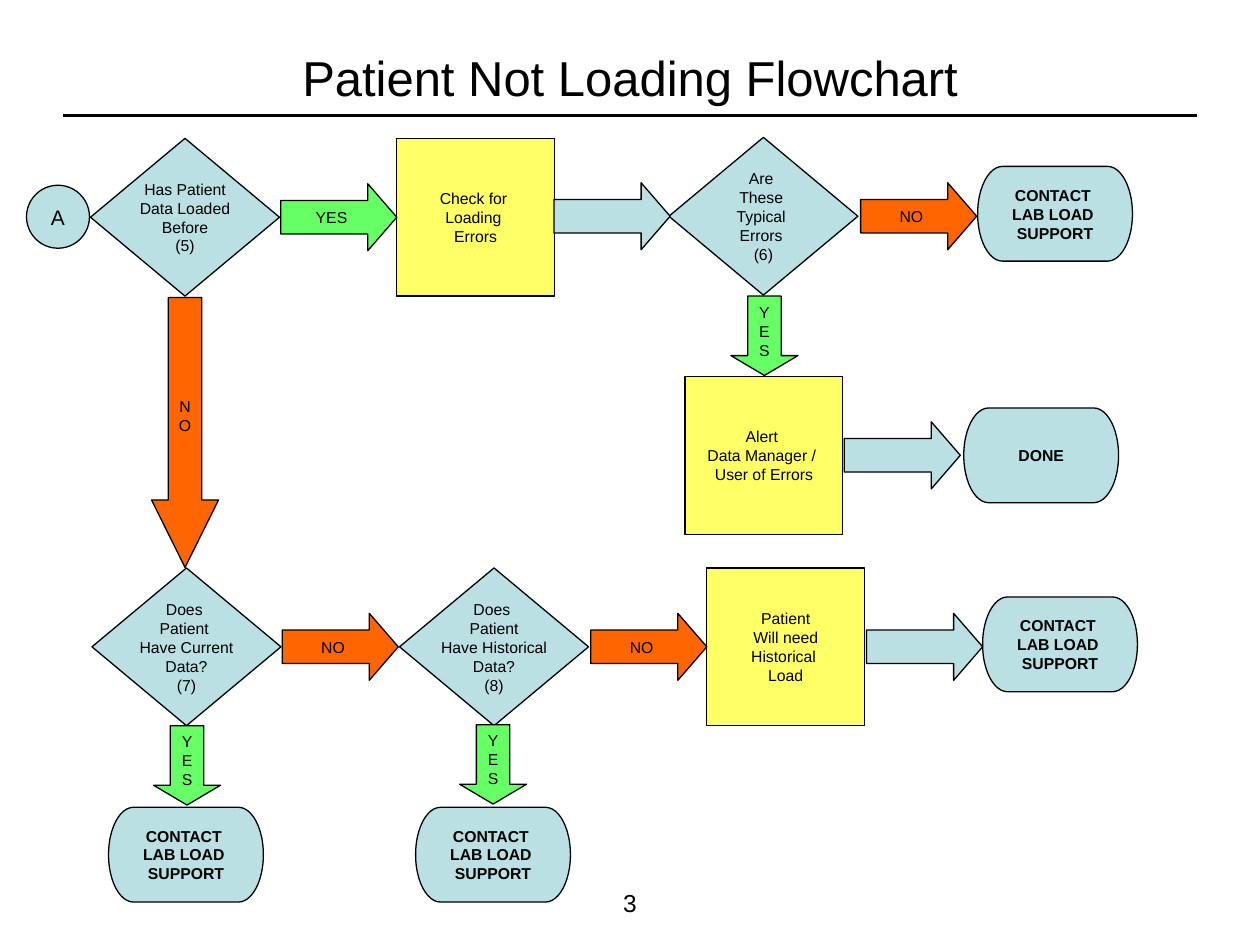
from pptx import Presentation
from pptx.dml.color import RGBColor
from pptx.enum.shapes import MSO_CONNECTOR, MSO_SHAPE
from pptx.enum.text import MSO_ANCHOR, PP_ALIGN
from pptx.oxml.ns import qn
from pptx.util import Cm, Pt
from lxml.etree import SubElement

COLORS = {"ink": "000000", "blue": "BBE0E3", "yellow": "FFFF66",
          "yes": "66FF66", "no": "FF6600"}
FONT = "Arial"

# Node kinds: preset, width, height (cm), fill, text size, bold
KINDS = {
    "decision": (MSO_SHAPE.FLOWCHART_DECISION, 3.81, 3.18, "blue", 9, False),
    "process": (MSO_SHAPE.FLOWCHART_PROCESS, 3.18, 3.18, "yellow", 9, False),
    "end": (MSO_SHAPE.FLOWCHART_TERMINATOR, 3.12, 1.91, "blue", 9, True),
    "entry": (MSO_SHAPE.FLOWCHART_CONNECTOR, 1.27, 1.27, "blue", 12, False),
}
SUPPORT = ["CONTACT ", "LAB LOAD ", "SUPPORT"]

# Kind, centre x, centre y (cm), text lines
NODES = [
    ("entry", 1.17, 4.37, ["A"]),
    ("decision", 3.73, 4.38, ["Has Patient", "Data Loaded", "Before", "(5)"]),
    ("process", 9.59, 4.38, ["Check for ", "Loading ", "Errors"]),
    ("decision", 15.39, 4.36, ["Are ", "These ", "Typical ", "Errors ", "(6)"]),
    ("end", 21.27, 4.31, SUPPORT),
    ("process", 15.4, 9.18, ["Alert ", "Data Manager / ", "User of Errors"]),
    ("end", 20.99, 9.18, ["DONE"]),
    ("decision", 3.76, 13.04,
     ["Does ", "Patient ", "Have Current", "Data?", "(7)"]),
    ("decision", 9.96, 13.04,
     ["Does ", "Patient", "Have Historical", "Data?", "(8)"]),
    ("process", 15.84, 13.04, ["Patient", "Will need", "Historical ", "Load"]),
    ("end", 21.37, 12.99, SUPPORT),
    ("end", 3.75, 17.23, SUPPORT),
    ("end", 9.94, 17.23, SUPPORT),
]

ARROW_WIDTH = 1.35
ACROSS, DOWN, LONG_DOWN = 2.34, 1.6, 5.44

# Centre x, centre y (cm), answer
ACROSS_ARROWS = [
    (6.83, 4.38, "YES"), (12.34, 4.36, ""), (18.52, 4.36, "NO"),
    (18.19, 9.18, ""),
    (6.86, 13.04, "NO"), (13.08, 13.04, "NO"), (18.64, 13.04, ""),
]
# Centre x, centre y, length (cm), answer
DOWN_ARROWS = [
    (15.41, 6.77, DOWN, "YES"), (3.73, 8.72, LONG_DOWN, "NO"),
    (3.77, 15.43, DOWN, "YES"), (9.94, 15.41, DOWN, "YES"),
]


def color(name):
    return RGBColor.from_string(COLORS[name])


def write(frame, lines, size, bold=False):
    for i, line in enumerate(lines):
        paragraph = frame.paragraphs[0] if i == 0 else frame.add_paragraph()
        paragraph.alignment = PP_ALIGN.CENTER
        run = paragraph.add_run()
        run.text = line
        run.font.name = FONT
        run.font.size = Pt(size)
        run.font.bold = bold
        run.font.color.rgb = color("ink")


def add_block(slide, preset, x, y, width, height, fill):
    """Outlined shape centred on x, y."""
    block = slide.shapes.add_shape(preset, Cm(x - width / 2), Cm(y - height / 2),
                                   Cm(width), Cm(height))
    block.shadow.inherit = False
    block.fill.solid()
    block.fill.fore_color.rgb = color(fill)
    block.line.color.rgb = color("ink")
    block.line.width = Pt(0.75)
    block.text_frame.word_wrap = False
    block.text_frame.vertical_anchor = MSO_ANCHOR.MIDDLE
    return block


def add_node(slide, kind, x, y, lines):
    preset, width, height, fill, size, bold = KINDS[kind]
    node = add_block(slide, preset, x, y, width, height, fill)
    write(node.text_frame, lines, size, bold)


def add_arrow(slide, x, y, length, answer, down=False):
    fill = answer.lower() or "blue"
    arrow = add_block(slide, MSO_SHAPE.RIGHT_ARROW, x, y, length, ARROW_WIDTH, fill)
    # The head takes a quarter of the length
    arrow.adjustments[1] = length / 4 / ARROW_WIDTH
    if down:
        arrow.rotation = 90
        # Turn the text back so that its letters stand upright
        arrow.text_frame._txBody.find(qn("a:bodyPr")).set("vert", "vert270")
    if answer:
        write(arrow.text_frame, list(answer) if down else [answer], 9)


def add_title(slide):
    title = slide.shapes.title
    title.left, title.top, title.width, title.height = (
        Cm(1.27), Cm(0.76), Cm(22.86), Cm(1.57))
    title.text_frame.vertical_anchor = MSO_ANCHOR.MIDDLE
    write(title.text_frame, ["Patient Not Loading Flowchart"], 28)

    rule = slide.shapes.add_connector(MSO_CONNECTOR.STRAIGHT, Cm(1.27), Cm(2.33),
                                      Cm(24.13), Cm(2.33))
    rule.line.color.rgb = color("ink")
    rule.line.width = Pt(1.25)
    SubElement(rule._element.spPr, qn("a:effectLst"))


def add_page_number(slide):
    page = slide.shapes.add_textbox(Cm(9.74), Cm(17.78), Cm(5.92), Cm(0.89))
    page.text_frame.word_wrap = True
    write(page.text_frame, ["3"], 14)


def main():
    deck = Presentation()
    deck.slide_width, deck.slide_height = Cm(25.4), Cm(19.05)
    slide = deck.slides.add_slide(deck.slide_layouts[5])

    add_title(slide)
    # Steps of the flow
    for node in NODES:
        add_node(slide, *node)
    # Paths between the steps
    for x, y, answer in ACROSS_ARROWS:
        add_arrow(slide, x, y, ACROSS, answer)
    for x, y, length, answer in DOWN_ARROWS:
        add_arrow(slide, x, y, length, answer, down=True)
    add_page_number(slide)

    deck.save("out.pptx")


if __name__ == "__main__":
    main()
